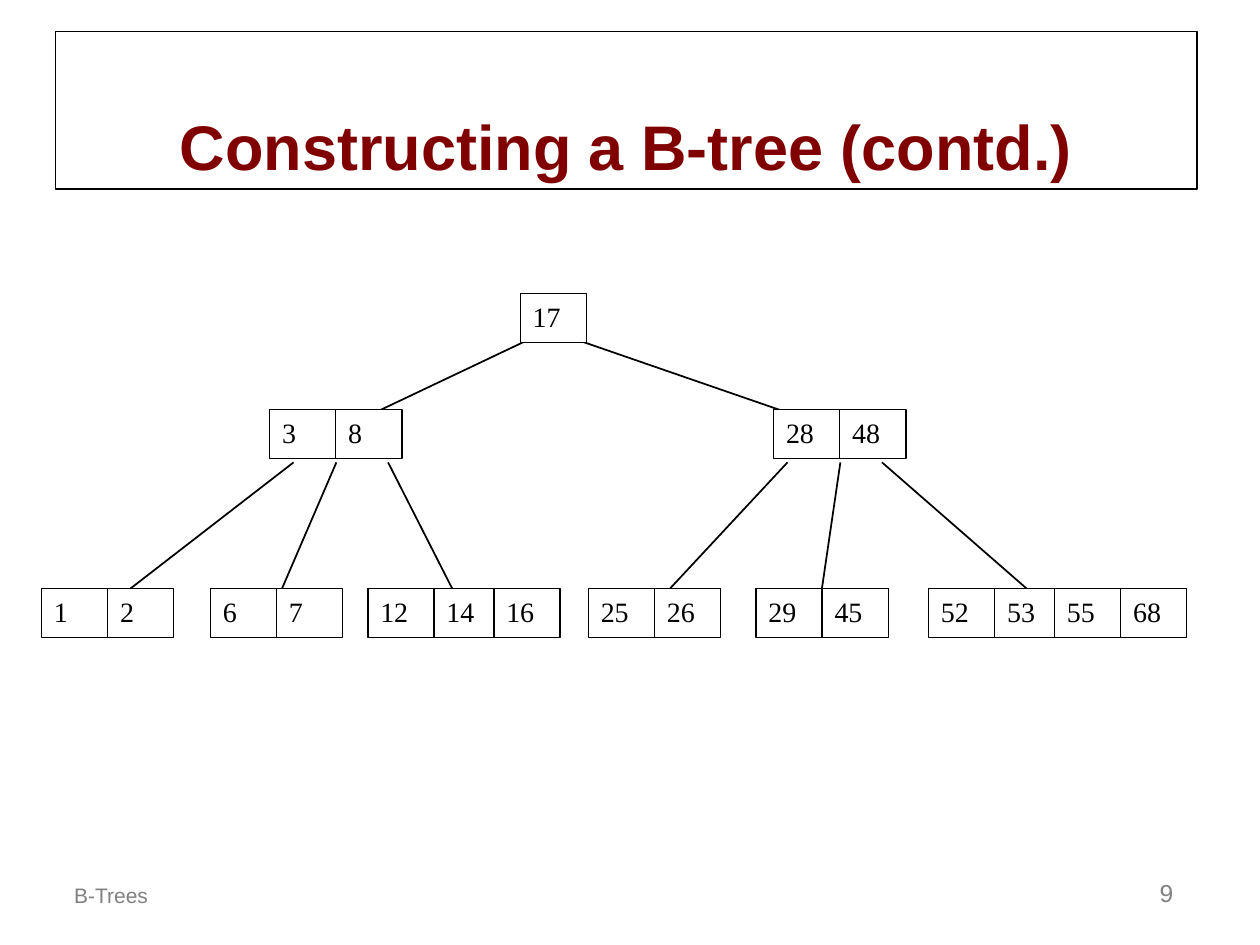
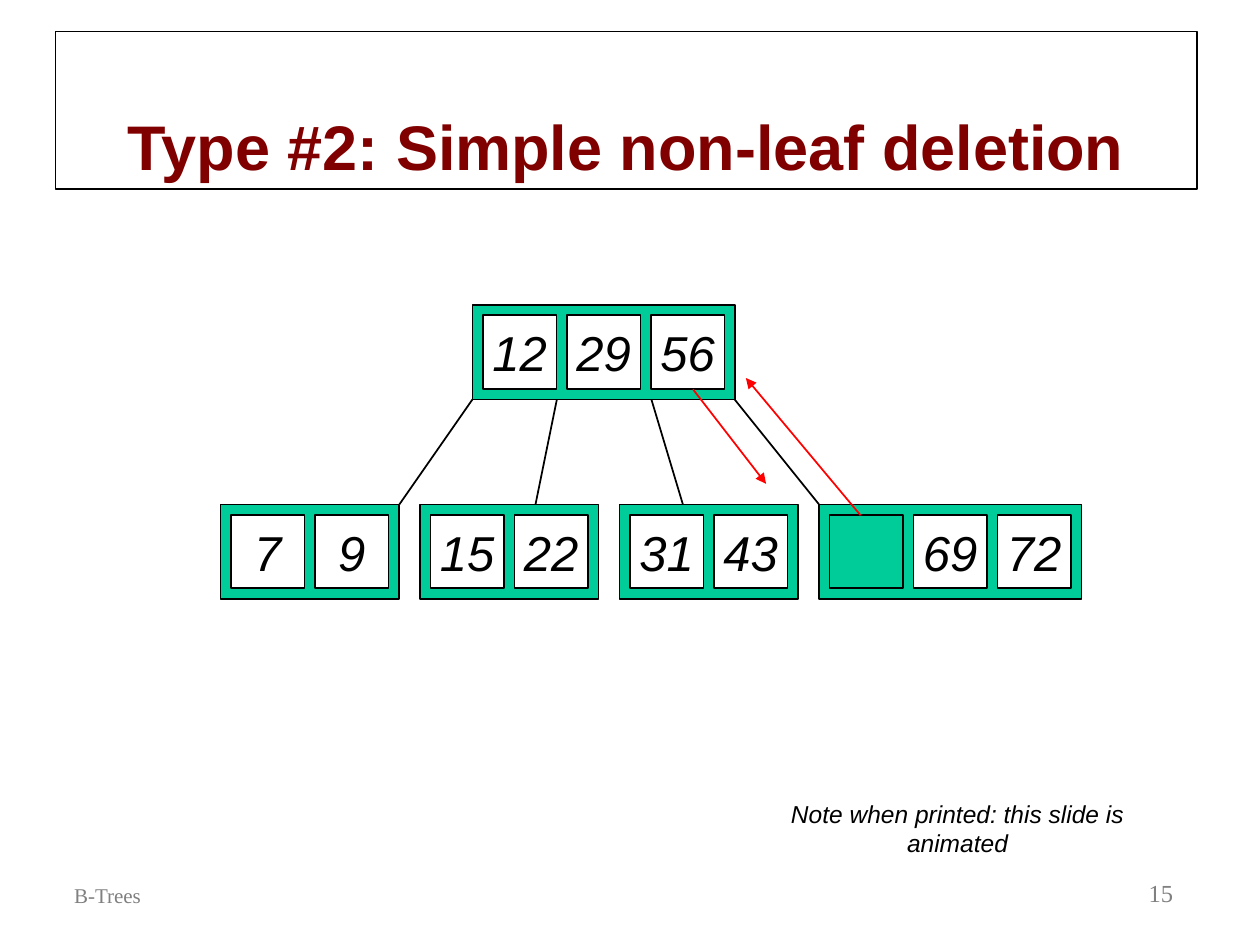
import pptx
import pptx.util
import pptx.dml.color
import pptx.enum.shapes
import pptx.enum.text
import pptx.oxml.ns
from lxml import etree

Inches = pptx.util.Inches
Pt = pptx.util.Pt
ALIGN = pptx.enum.text.PP_ALIGN
ANCHOR = pptx.enum.text.MSO_ANCHOR
COLORS = {
    "ink": "000000",
    "paper": "FFFFFF",
    "title": "800000",
    "grey": "808080",
    "frame": "00CC99",
    "move": "FF0000",
}
SANS, SERIF = "Arial", "Times New Roman"


def color(name):
    return pptx.dml.color.RGBColor.from_string(COLORS[name])


def write(shape, text, size=16, font=SERIF, ink="ink", bold=False, slant=False,
          align=ALIGN.LEFT, anchor=ANCHOR.TOP, wrap=True):
    frame = shape.text_frame
    frame.word_wrap = wrap
    frame.vertical_anchor = anchor
    para = frame.paragraphs[0]
    para.alignment = align
    run = para.add_run()
    run.text = text
    run.font.size = Pt(size)
    run.font.name = font
    run.font.bold = bold
    run.font.italic = slant
    run.font.color.rgb = color(ink)


def label(slide, box, text, **style):
    shape = slide.shapes.add_textbox(*map(Inches, box))
    write(shape, text, **style)
    return shape


def block(slide, box, fill="paper", width=0.75):
    kind = pptx.enum.shapes.MSO_SHAPE.RECTANGLE
    shape = slide.shapes.add_shape(kind, *map(Inches, box))
    shape.shadow.inherit = False
    if fill:
        shape.fill.solid()
        shape.fill.fore_color.rgb = color(fill)
    else:
        shape.fill.background()
    shape.line.color.rgb = color("ink")
    shape.line.width = Pt(width)
    return shape


def link(slide, start, end, ink="ink", arrow=False):
    kind = pptx.enum.shapes.MSO_CONNECTOR.STRAIGHT
    line = slide.shapes.add_connector(kind, *map(Inches, (*start, *end)))
    line.line.color.rgb = color(ink)
    line.line.width = Pt(1)
    if arrow:
        tail = etree.SubElement(line.line._get_or_add_ln(), pptx.oxml.ns.qn("a:tailEnd"))
        tail.set("type", "triangle")
    etree.SubElement(line._element.spPr, pptx.oxml.ns.qn("a:effectLst"))


def page(deck, title, number, font):
    slide = deck.slides.add_slide(deck.slide_layouts[6])
    head = block(slide, (0.44, 0.25, 9.06, 1.25), fill=None)
    write(head, title, size=36, font=SANS, ink="title", bold=True,
          align=ALIGN.CENTER, anchor=ANCHOR.BOTTOM)
    foot = dict(font=font, ink="grey", anchor=ANCHOR.BOTTOM)
    label(slide, (0.49, 6.75, 3, 0.5), "B-Trees", size=12, **foot)
    label(slide, (7.33, 6.75, 2.08, 0.5), number, size=14, align=ALIGN.RIGHT, **foot)
    return slide


def row(slide, left, top, keys):
    for i, key in enumerate(keys):
        cell = block(slide, (left + i // 2 + 0.525 * (i % 2), top, 0.525, 0.39))
        write(cell, str(key))


def tree(slide, left, top):
    level = (0, 0.92, 2.34)
    nodes = [
        (3.8, 0, [17]),
        (1.81, 1, [3, 8]), (5.81, 1, [28, 48]),
        (0, 2, [1, 2]), (1.34, 2, [6, 7]), (2.59, 2, [12, 14, 16]),
        (4.34, 2, [25, 26]), (5.67, 2, [29, 45]), (7.04, 2, [52, 53, 55, 68]),
    ]
    upper = [(3.92, 2.34), (4.17, 6.34)]
    lower = [(2, 0.5), (2.34, 1.84), (2.75, 3.34),
             (5.92, 4.84), (6.34, 6.17), (6.67, 8)]
    for ends, start, stop in ((lower, 1.34, 2.5), (upper, 0.34, 1.09)):
        for near, far in ends:
            link(slide, (left + near, top + start), (left + far, top + stop))
    for x, depth, keys in nodes:
        row(slide, left + x, top + level[depth], keys)


PAD = 1 / 12
CELL = 7 / 12
STEP = CELL + PAD


def node(slide, left, top, keys):
    block(slide, (left, top, len(keys) * STEP + PAD, CELL + 2 * PAD), "frame", 1)
    for i, key in enumerate(keys):
        box = (left + PAD + i * STEP, top + PAD, CELL, CELL)
        cell = block(slide, box, "frame" if key is None else "paper", 1)
        if key is not None:
            write(cell, str(key), size=28, font=SANS, slant=True,
                  align=ALIGN.CENTER, anchor=ANCHOR.MIDDLE, wrap=False)


def swap(slide, left, top):
    root, drop = 2, 19 / 12
    leaves = [[7, 9], [15, 22], [31, 43], [None, 69, 72]]
    node(slide, left + root, top, [12, 29, 56])
    for i, keys in enumerate(leaves):
        node(slide, left + i * drop, top + drop, keys)
    for near, far in ((2, 1.42), (2.67, 2.5), (3.42, 3.67), (4.08, 4.75)):
        link(slide, (left + near, top + 0.75), (left + far, top + drop))
    for start, end in (((3.75, 0.67), (4.33, 1.42)), ((5.08, 1.67), (4.17, 0.58))):
        link(slide, (left + start[0], top + start[1]),
             (left + end[0], top + end[1]), "move", True)


def main():
    deck = pptx.Presentation()
    deck.slide_width, deck.slide_height = Inches(10), Inches(7.5)
    tree(page(deck, "Constructing a B-tree (contd.)", "9", SANS), 0.33, 2.33)
    slide = page(deck, "Type #2: Simple non-leaf deletion", "15", SERIF)
    swap(slide, 1.75, 2.42)
    note = label(slide, (5.76, 6.41, 3.68, 0.33),
                 "Note when printed: this slide is animated", size=14, font=SANS,
                 slant=True, align=ALIGN.CENTER, anchor=ANCHOR.MIDDLE)
    note.text_frame.margin_left = note.text_frame.margin_right = Inches(0.2)
    deck.save("out.pptx")


if __name__ == "__main__":
    main()
